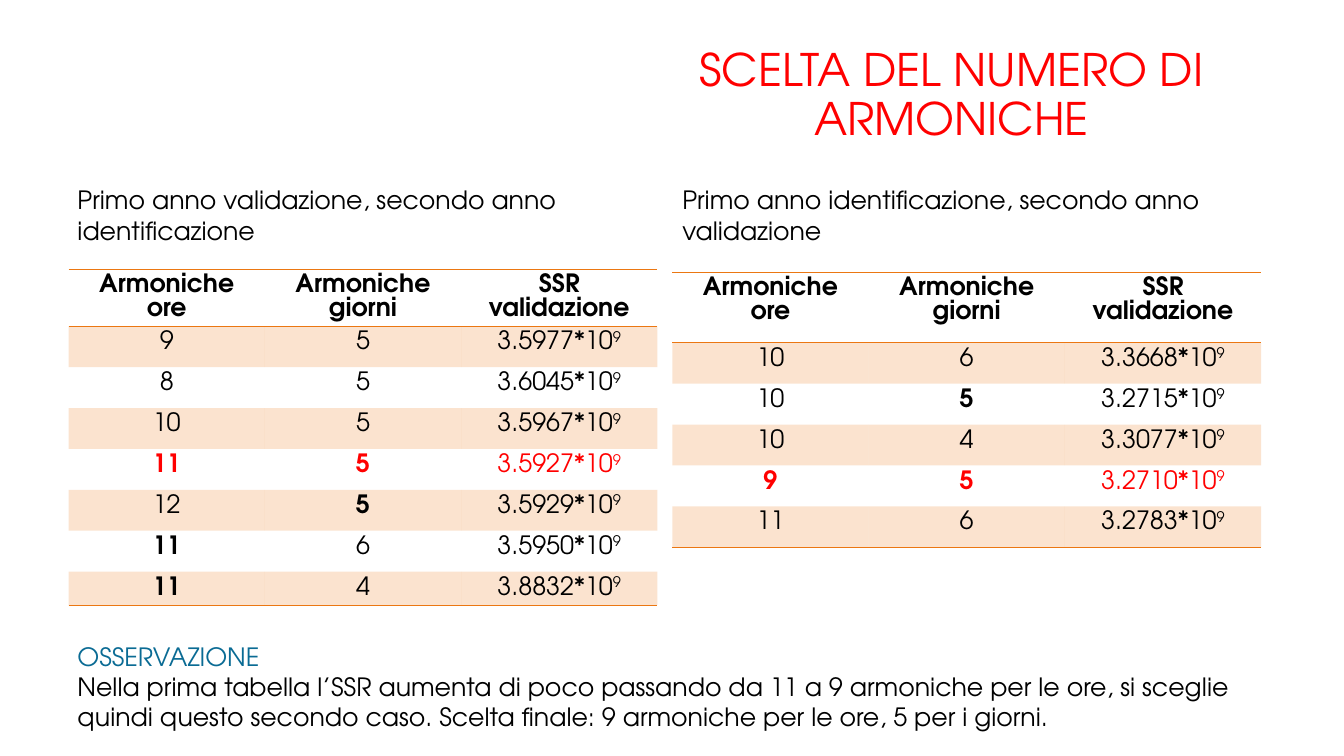
"""Slide comparing the validation error of several harmonic counts."""
from dataclasses import dataclass

from lxml import etree
from pptx import Presentation, util as u
from pptx.dml import color
from pptx.enum import text
from pptx.oxml import ns


@dataclass(frozen=True)
class Theme:
    font: str = "TeX Gyre Adventor"
    title_size: float = 32
    body_size: float = 18
    ink: str = "000000"
    accent: str = "FF0000"
    heading: str = "0A6B94"
    band: str = "EB7712"
    band_alpha: int = 20000
    title_spacing: float = 0.9


@dataclass(frozen=True)
class Trial:
    hours: str
    days: str
    ssr: str
    bold_hours: bool = False
    bold_days: bool = False
    chosen: bool = False


@dataclass(frozen=True)
class Comparison:
    caption: str
    caption_left: float
    left: float
    top: float
    last_height: float
    trials: tuple[Trial, ...]


THEME = Theme()
HEADERS = ("Armoniche ore", "Armoniche giorni", "SSR validazione")
MARGIN, MIDDLE, CAPTION_TOP = 48.24, 480.24, 128.4
COLUMN_WIDTH, HEADER_HEIGHT, ROW_HEIGHT = 140.2, 40.8, 29.2
PLAIN_TABLE = "{2D5ABB26-0587-4C30-8999-92F81FD0307C}"
OBSERVATION = (
    "Nella prima tabella l’SSR aumenta di poco passando da 11 a 9 armoniche per le ore, "
    "si sceglie quindi questo secondo caso. Scelta finale: 9 armoniche per le ore, 5 per i giorni."
)

COMPARISONS = (
    Comparison(
        "Primo anno validazione, secondo anno identificazione", MARGIN, 49, 192.24, 23.8,
        (
            Trial("9", "5", "3.5977"),
            Trial("8", "5", "3.6045"),
            Trial("10", "5", "3.5967"),
            Trial("11", "5", "3.5927", True, True, True),
            Trial("12", "5", "3.5929", bold_days=True),
            Trial("11", "6", "3.5950", bold_hours=True),
            Trial("11", "4", "3.8832", bold_hours=True),
        ),
    ),
    Comparison(
        "Primo anno identificazione, secondo anno validazione", MIDDLE, MIDDLE, 194.4, ROW_HEIGHT,
        (
            Trial("10", "6", "3.3668"),
            Trial("10", "5", "3.2715", bold_days=True),
            Trial("10", "4", "3.3077"),
            Trial("9", "5", "3.2710", True, True, True),
            Trial("11", "6", "3.2783"),
        ),
    ),
)


def add_span(para, words: str, tint: str = THEME.ink, size: float = THEME.body_size,
             bold: bool = False, raised: bool = False) -> None:
    span = para.add_run()
    span.text = words
    span.font.name = THEME.font
    span.font.size = u.Pt(size)
    span.font.bold = bold
    span.font.color.rgb = color.RGBColor.from_string(tint)
    if raised:
        span.font._element.set("baseline", "30000")


def add_box(page, left: float, top: float, width: float, height: float,
            lines: tuple[tuple[str, str], ...]) -> None:
    box = page.shapes.add_textbox(u.Pt(left), u.Pt(top), u.Pt(width), u.Pt(height))
    frame = box.text_frame
    frame.word_wrap = True
    frame.auto_size = text.MSO_AUTO_SIZE.SHAPE_TO_FIT_TEXT
    for index, (words, tint) in enumerate(lines):
        para = frame.add_paragraph() if index else frame.paragraphs[0]
        add_span(para, words, tint)


def add_rule(cell, side: str) -> None:
    line = etree.Element(ns.qn(f"a:{side}"), w=str(u.Pt(1)))
    fill = etree.SubElement(line, ns.qn("a:solidFill"))
    etree.SubElement(fill, ns.qn("a:srgbClr"), val=THEME.band)
    cell._tc.get_or_add_tcPr().insert(0, line)


def shade(cell, banded: bool) -> None:
    if not banded:
        cell.fill.background()
        return
    cell.fill.solid()
    cell.fill.fore_color.rgb = color.RGBColor.from_string(THEME.band)
    tint = cell._tc.tcPr.find(f".//{ns.qn('a:srgbClr')}")
    etree.SubElement(tint, ns.qn("a:alpha"), val=str(THEME.band_alpha))


def cell_para(cell):
    para = cell.text_frame.paragraphs[0]
    para.alignment = text.PP_ALIGN.CENTER
    return para


def add_results(page, comparison: Comparison) -> None:
    trials = comparison.trials
    heights = [HEADER_HEIGHT, *[ROW_HEIGHT] * (len(trials) - 1), comparison.last_height]
    frame = page.shapes.add_table(
        len(heights), len(HEADERS), u.Pt(comparison.left), u.Pt(comparison.top),
        u.Pt(COLUMN_WIDTH * len(HEADERS)), u.Pt(sum(heights)))
    table = frame.table
    table.horz_banding = False
    table._tbl.tblPr.find(ns.qn("a:tableStyleId")).text = PLAIN_TABLE
    for column in table.columns:
        column.width = u.Pt(COLUMN_WIDTH)
    for index, (row, height) in enumerate(zip(table.rows, heights)):
        row.height = u.Pt(height)
        for cell in row.cells:
            shade(cell, index % 2 == 1)
            if index in (0, len(trials)):
                add_rule(cell, "lnB")
            if index == 0:
                add_rule(cell, "lnT")
    for cell, words in zip(table.rows[0].cells, HEADERS):
        add_span(cell_para(cell), words, bold=True)
    for index, trial in enumerate(trials, start=1):
        tint = THEME.accent if trial.chosen else THEME.ink
        hours, days, ssr = map(cell_para, table.rows[index].cells)
        add_span(hours, trial.hours, tint, bold=trial.bold_hours)
        add_span(days, trial.days, tint, bold=trial.bold_days)
        add_span(ssr, f"{trial.ssr}*10", tint)
        add_span(ssr, "9", tint, raised=True)


def add_title(page) -> None:
    title = page.shapes.title
    title.left, title.top = u.Pt(409), u.Pt(12.8)
    title.width, title.height = u.Pt(541.4), u.Pt(94.3)
    frame = title.text_frame
    frame.word_wrap = True
    frame.auto_size = text.MSO_AUTO_SIZE.NONE
    frame.vertical_anchor = text.MSO_ANCHOR.BOTTOM
    para = frame.paragraphs[0]
    para.alignment = text.PP_ALIGN.CENTER
    para.line_spacing = THEME.title_spacing
    add_span(para, "SCELTA DEL NUMERO DI ARMONICHE", THEME.accent, THEME.title_size)


def main() -> None:
    deck = Presentation()
    deck.slide_width, deck.slide_height = u.Pt(960), u.Pt(540)
    page = deck.slides.add_slide(deck.slide_layouts.get_by_name("Title Only"))
    add_title(page)
    for comparison in COMPARISONS:
        add_results(page, comparison)
        add_box(page, comparison.caption_left, CAPTION_TOP, 392.4, 51,
                ((comparison.caption, THEME.ink),))
    add_box(page, MARGIN, 454.3, 882, 72.7,
            (("OSSERVAZIONE", THEME.heading), (OBSERVATION, THEME.ink)))
    deck.save("out.pptx")


if __name__ == "__main__":
    main()
